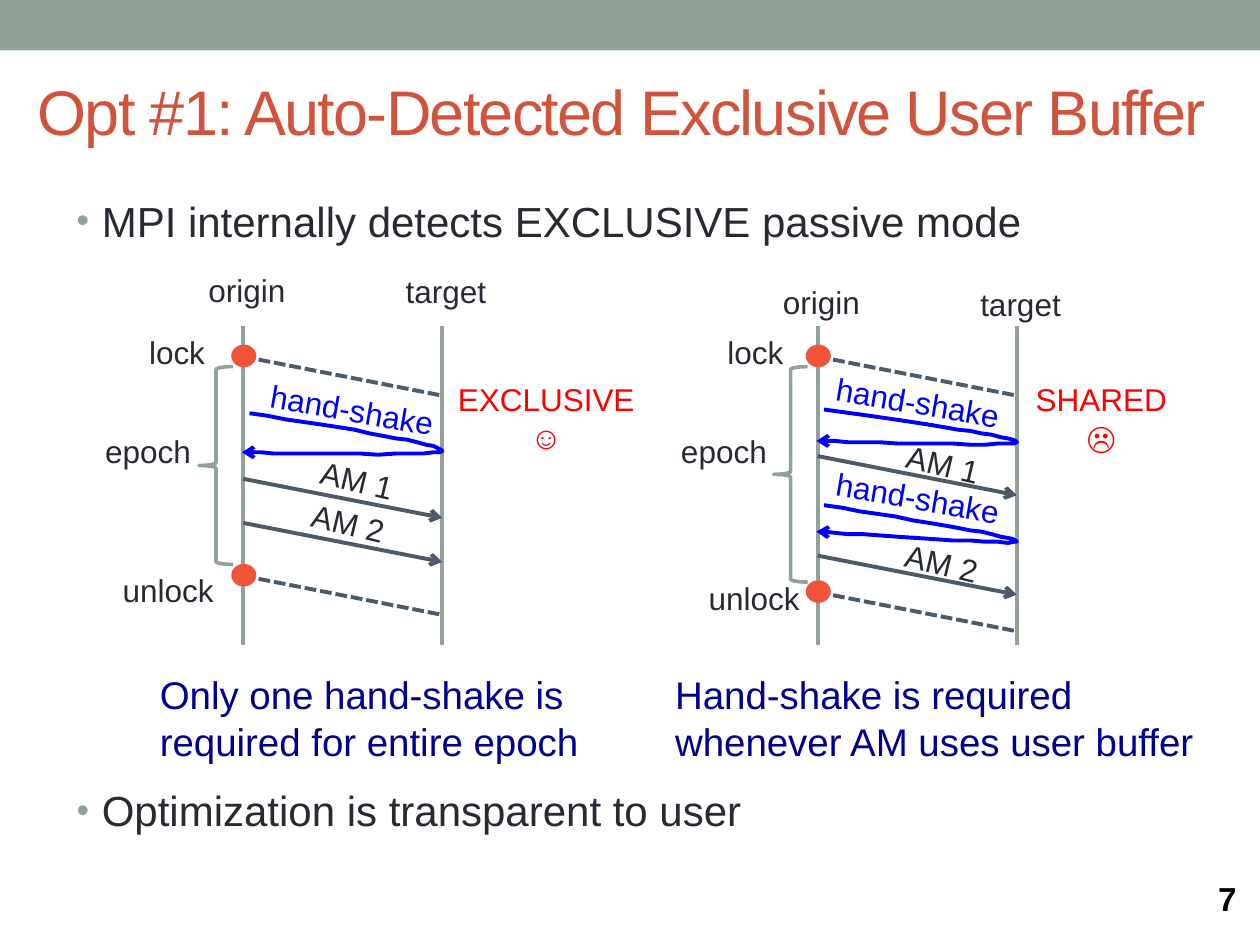
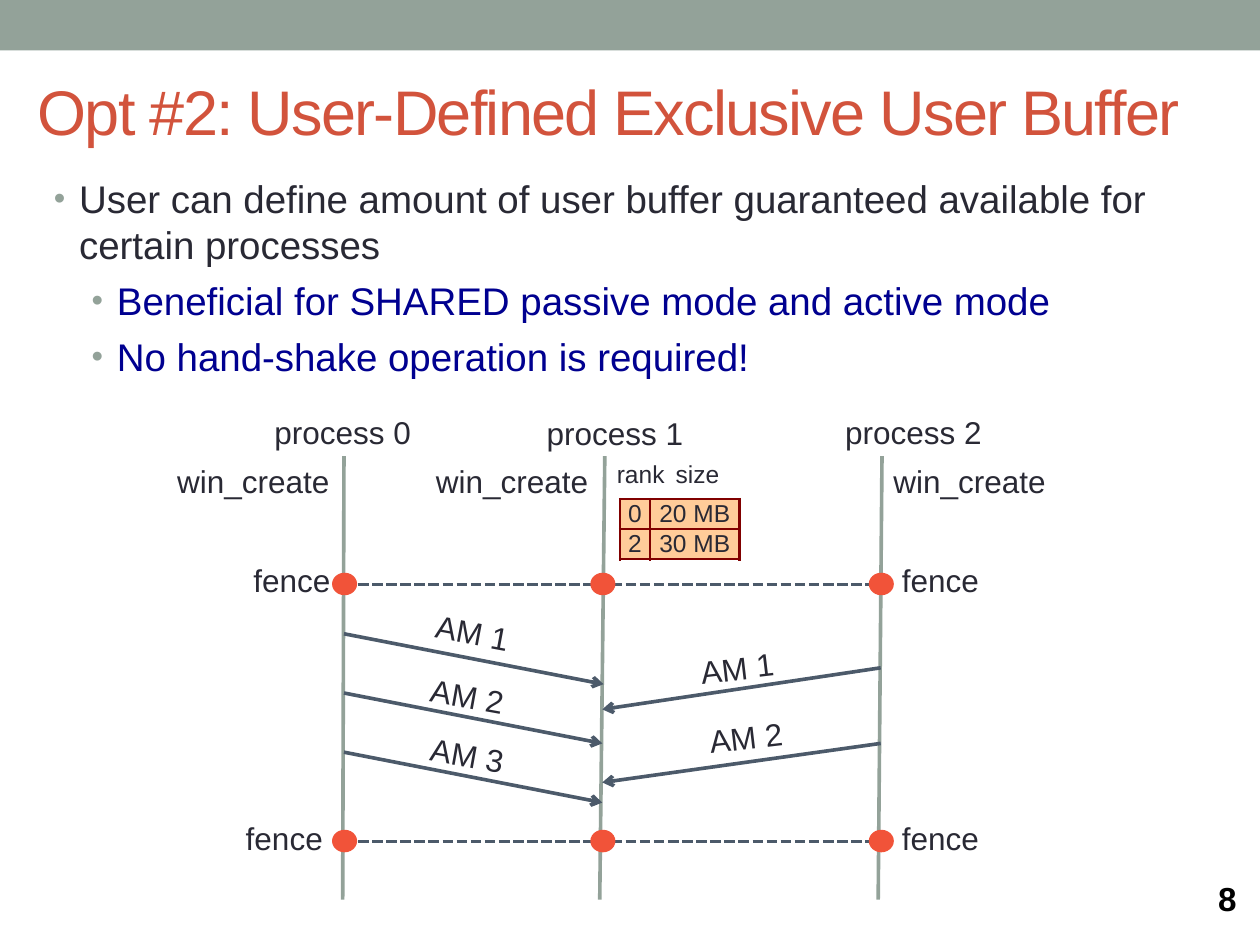
from lxml.etree import SubElement
from pptx import Presentation
from pptx.dml.color import RGBColor
from pptx.enum.dml import MSO_LINE
from pptx.enum.shapes import MSO_CONNECTOR, MSO_SHAPE
from pptx.enum.text import MSO_ANCHOR, PP_ALIGN
from pptx.oxml.ns import qn
from pptx.util import Pt

PX = 9144
FONT = "Arial"
SAGE = RGBColor(0x93, 0xA2, 0x99)
RUST = RGBColor(0xD2, 0x53, 0x3C)
INK = RGBColor(0x29, 0x29, 0x34)
SLATE = RGBColor(0x4C, 0x5A, 0x6A)
NAVY = RGBColor(0x00, 0x00, 0x90)
BLUE = RGBColor(0x00, 0x00, 0xFF)
RED = RGBColor(0xFF, 0x00, 0x00)
ORANGE = RGBColor(0xF1, 0x53, 0x39)
PEACH = RGBColor(0xFF, 0xCC, 0x99)
WHITE = RGBColor(0xFF, 0xFF, 0xFF)
BLACK = RGBColor(0x00, 0x00, 0x00)


def write(page, text, left, top, width, height=40, size=18, color=INK, align=PP_ALIGN.CENTER, turn=0):
    box = page.shapes.add_textbox(left * PX, top * PX, width * PX, height * PX)
    box.rotation = turn
    box.text_frame.word_wrap = True
    box.text_frame.text = text
    for para in box.text_frame.paragraphs:
        para.alignment = align
        para.font.name = FONT
        para.font.size = Pt(size)
        para.font.color.rgb = color
    return box


def connect(page, start, end, color=SLATE, width=2.25, dashed=False, arrow=False):
    line = page.shapes.add_connector(
        MSO_CONNECTOR.STRAIGHT, start[0] * PX, start[1] * PX, end[0] * PX, end[1] * PX)
    line.line.color.rgb = color
    line.line.width = Pt(width)
    if dashed:
        line.line.dash_style = MSO_LINE.SQUARE_DOT
    properties = line._element.spPr
    if arrow:
        SubElement(properties.find(qn("a:ln")), qn("a:tailEnd"), type="arrow")
    SubElement(properties, qn("a:effectLst"))


deck = Presentation()
deck.slide_width = 1000 * PX
deck.slide_height = 750 * PX

outlines = [
    ("Opt #1: Auto-Detected Exclusive User Buffer", 7, 51, 150, 24, [
        (0, "MPI internally detects EXCLUSIVE passive mode", INK, 0),
        (0, "Optimization is transparent to user", INK, 308)]),
    ("Opt #2: User-Defined Exclusive User Buffer", 8, 33, 134, 22, [
        (0, "User can define amount of user buffer guaranteed available for certain processes", INK, 0),
        (1, "Beneficial for SHARED passive mode and active mode", NAVY, 5.5),
        (1, "No hand-shake operation is required!", NAVY, 5.5)]),
]
pages = []
for title, number, left, top, size, bullets in outlines:
    page = deck.slides.add_slide(deck.slide_layouts[6])
    pages.append(page)
    band = page.shapes.add_shape(MSO_SHAPE.RECTANGLE, 0, 0, 1000 * PX, 40 * PX)
    band.shadow.inherit = False
    band.fill.solid()
    band.fill.fore_color.rgb = SAGE
    band.line.fill.background()

    heading = write(page, title, 20, 44, 961, 87, 36, RUST, PP_ALIGN.LEFT)
    heading.text_frame.vertical_anchor = MSO_ANCHOR.MIDDLE
    heading.text_frame.paragraphs[0].runs[0]._r.get_or_add_rPr().set("spc", "-100")

    body = page.shapes.add_textbox(left * PX, top * PX, 900 * PX, 535 * PX)
    body.text_frame.word_wrap = True
    body.text_frame.text = "\n".join(text for level, text, color, gap in bullets)
    for para, (level, text, color, gap) in zip(body.text_frame.paragraphs, bullets):
        para.level = level
        para.space_before = Pt(gap)
        settings = para._p.get_or_add_pPr()
        settings.set("marL", str((20 + 30 * level) * PX))
        settings.set("indent", str(-20 * PX))
        SubElement(SubElement(settings, qn("a:buClr")), qn("a:srgbClr"), val=str(SAGE))
        SubElement(settings, qn("a:buSzPct"), val="85000")
        SubElement(settings, qn("a:buFont"), typeface=FONT)
        SubElement(settings, qn("a:buChar"), char="•")
        para.font.name = FONT
        para.font.size = Pt(size)
        para.font.color.rgb = color

    footer = write(page, str(number), 957, 698, 43, 36, 19, BLACK, PP_ALIGN.LEFT)
    footer.text_frame.vertical_anchor = MSO_ANCHOR.MIDDLE
    footer.text_frame.paragraphs[0].line_spacing = 0.8
    footer.text_frame.paragraphs[0].font.bold = True

modes_page, fence_page = pages
dots = []

modes = [
    dict(origin=193, names_top=210, brace_height=157, unlock_y=457,
         labels=[("lock", 90, 259), ("epoch", 67, 338), ("unlock", 83, 448)],
         messages=[("AM 1", 380, 227, 361), ("AM 2", 415, 220, 395)],
         handshakes=[(179, 305, (328, 340, 353, 358, 363, 359))],
         verdict="EXCLUSIVE\n☺", verdict_width=165,
         note="Only one hand-shake is required for entire epoch", note_left=117, note_width=391),
    dict(origin=649, names_top=220, brace_height=171, unlock_y=470,
         labels=[("lock", 549, 259), ("epoch", 524, 338), ("unlock", 548, 455)],
         messages=[("AM 1", 362, 692, 348), ("AM 2", 441, 691, 427)],
         handshakes=[(628, 299, (325, 336, 347, 351, 355, 350)),
                     (628, 375, (401, 414, 426, 430, 433, 422))],
         verdict="SHARED\n☹", verdict_width=134,
         note="Hand-shake is required whenever AM uses user buffer", note_left=526, note_width=454),
]
for mode in modes:
    origin = mode["origin"]
    target = origin + 158
    for name, x, top in (("origin", origin, 0), ("target", target, 1)):
        connect(modes_page, (x, 259), (x, 512), SAGE, 2.08)
        write(modes_page, name, x - 47, mode["names_top"] + top, 100)

    brace = modes_page.shapes.add_shape(
        MSO_SHAPE.LEFT_BRACE, (origin - 35) * PX, 291 * PX, 27 * PX, mode["brace_height"] * PX)
    brace.shadow.inherit = False
    brace.fill.solid()
    brace.fill.fore_color.rgb = WHITE
    brace.line.color.rgb = SAGE
    brace.line.width = Pt(2.08)
    for label, left, top in mode["labels"]:
        write(modes_page, label, left, top, 101)

    for message, y, left, top in mode["messages"]:
        connect(modes_page, (origin, y), (target, y + 31), arrow=True)
        write(modes_page, message, left, top, 113, turn=13.4)

    for left, top, heights in mode["handshakes"]:
        xs = [origin + shift for shift in (5, 82, 159, 158, 157, -1, -1)]
        knots = list(zip(xs, heights + heights[-1:]))
        points = []
        for first in (0, 3):
            for step in range(1, 17):
                t = step / 16
                weights = ((1 - t) ** 3, 3 * t * (1 - t) ** 2, 3 * t * t * (1 - t), t ** 3)
                points.append([sum(weight * knot[axis] for weight, knot in zip(weights, knots[first:first + 4]))
                               for axis in (0, 1)])
        builder = modes_page.shapes.build_freeform(*knots[0], scale=PX)
        builder.add_line_segments(points, close=False)
        curve = builder.convert_to_shape()
        curve.shadow.inherit = False
        curve.fill.background()
        curve.line.color.rgb = BLUE
        curve.line.width = Pt(2.25)
        SubElement(curve._element.spPr.find(qn("a:ln")), qn("a:tailEnd"), type="arrow")
        write(modes_page, "hand-shake", left, top, 201, color=BLUE, turn=9.8)

    write(modes_page, mode["verdict"], target, 297, mode["verdict_width"], 71, color=RED)
    write(modes_page, mode["note"], mode["note_left"], 528, mode["note_width"], 79, 22, NAVY, PP_ALIGN.LEFT)
    for y in (283, mode["unlock_y"]):
        connect(modes_page, (origin, y), (target, y + 31), dashed=True)
        dots.append((modes_page, origin, y))

for rank, (top_x, bottom_x, name_left) in enumerate([(273, 272, 197), (480, 476, 413), (700, 697, 650)]):
    connect(fence_page, (top_x, 362), (bottom_x, 714), SAGE, 2.08)
    write(fence_page, f"process {rank}", name_left, 324 if rank == 1 else 323, 150)
for left, width in ((127, 148), (328, 157), (691, 157)):
    write(fence_page, "win_create", left, 362, width)
for heading, left in (("rank", 469), ("size", 514)):
    write(fence_page, heading, left, 359, 79, 34, 14)

quotas = [("0", "20 MB"), ("2", "30 MB")]
table = fence_page.shapes.add_table(2, 2, 492 * PX, 396 * PX, 95 * PX, 48 * PX).table
for column, width in zip(table.columns, (24, 71)):
    column.width = width * PX
for row, quota in zip(table.rows, quotas):
    row.height = 24 * PX
    for cell, text in zip(row.cells, quota):
        cell.margin_left = cell.margin_right = cell.margin_top = cell.margin_bottom = 0
        cell.vertical_anchor = MSO_ANCHOR.MIDDLE
        for side in ("a:lnL", "a:lnR", "a:lnT", "a:lnB"):
            border = SubElement(cell._tc.get_or_add_tcPr(), qn(side), w=str(Pt(1.5)))
            SubElement(SubElement(border, qn("a:solidFill")), qn("a:srgbClr"), val="800000")
        cell.fill.solid()
        cell.fill.fore_color.rgb = PEACH
        cell.text = text
        para = cell.text_frame.paragraphs[0]
        para.alignment = PP_ALIGN.CENTER
        para.font.name = FONT
        para.font.size = Pt(14)
        para.font.color.rgb = INK
        para.font.bold = False

for y, label_top, label_left in ((464, 440, 124), (668, 645, 118)):
    connect(fence_page, (273, y), (699, y), width=2, dashed=True)
    write(fence_page, "fence", label_left, label_top, 148, align=PP_ALIGN.RIGHT)
    write(fence_page, "fence", 706, label_top, 148, align=PP_ALIGN.LEFT)
    dots.extend((fence_page, x, y) for x in (273, 478, 699))

sends = [
    ("AM 1", (273, 503), (479, 543), 318, 482, 10.6),
    ("AM 2", (273, 550), (478, 590), 314, 532, 10.2),
    ("AM 3", (273, 597), (478, 637), 314, 579, 10.2),
    ("AM 1", (699, 530), (478, 563), 528, 510, 353.2),
    ("AM 2", (699, 590), (478, 621), 535, 565, 353.2),
]
for message, start, end, left, top, turn in sends:
    connect(fence_page, start, end, width=2.08, arrow=True)
    write(fence_page, message, left, top, 114, turn=turn)

for page, x, y in dots:
    dot = page.shapes.add_shape(MSO_SHAPE.OVAL, (x - 8) * PX, (y - 8) * PX, 17 * PX, 15 * PX)
    dot.shadow.inherit = False
    dot.fill.solid()
    dot.fill.fore_color.rgb = ORANGE
    dot.line.color.rgb = ORANGE
    dot.line.width = Pt(2.08)

deck.save("out.pptx")
